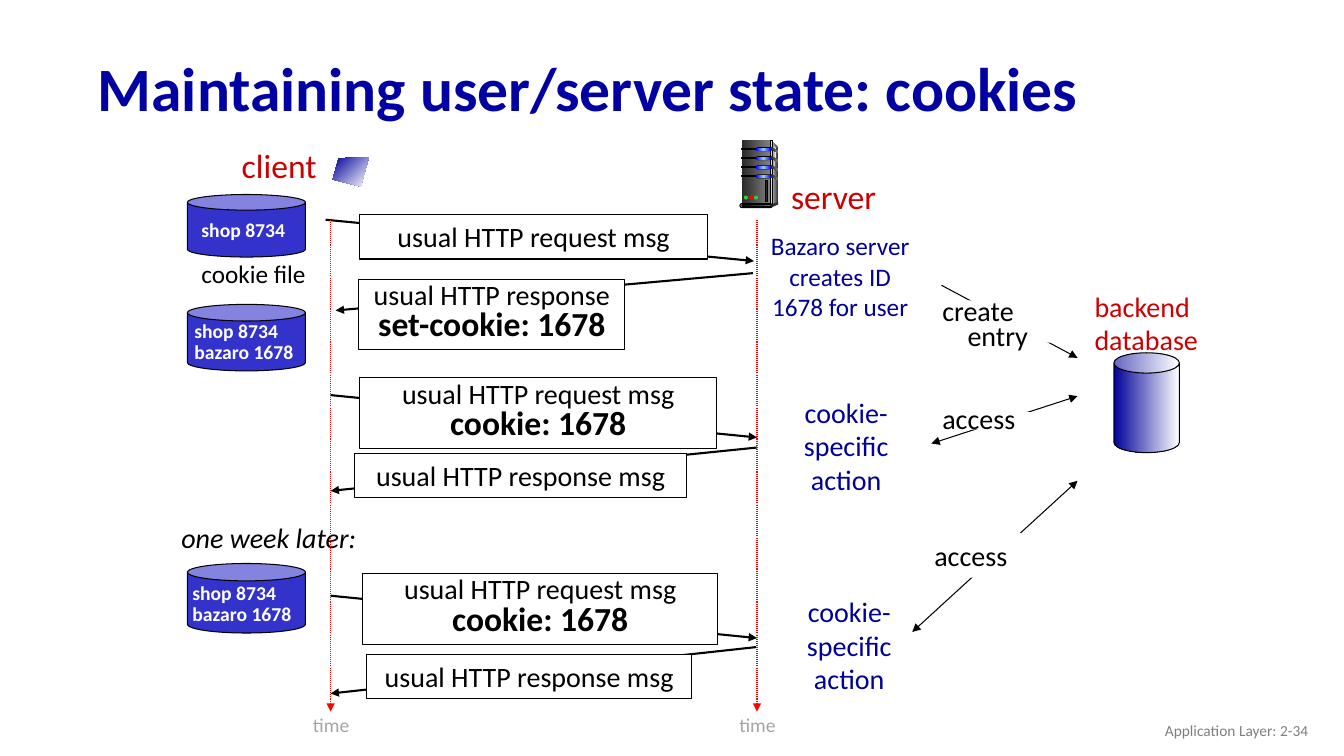
from collections import namedtuple
from copy import deepcopy

from pptx import Presentation
from pptx.dml.color import RGBColor
from pptx.enum.dml import MSO_LINE
from pptx.enum.shapes import MSO_CONNECTOR, MSO_SHAPE as SHAPE
from pptx.enum.text import MSO_ANCHOR as ANCHOR, PP_ALIGN as ALIGN
from pptx.oxml import parse_xml
from pptx.oxml.ns import nsdecls, qn
from pptx.util import Inches, Pt

# All lengths are counted in cells of a grid, ten to the inch
COLS, ROWS = 133.33, 75
FONT = "Calibri"
BLACK, WHITE, RED, NAVY = "000000", "FFFFFF", "CC0000", "000099"
DARK_GREY, MID_GREY, LIGHT_GREY = "292929", "808080", "DDDDDD"

Box = namedtuple("Box", "left top width height")


def grid(cells):
    return Inches(cells / 10)


def rgb(hex_color):
    return RGBColor.from_string(hex_color)


def inside(box, x, y, width, height):
    return Box(box.left + x, box.top + y, width, height)


# ---- Basic parts ----
def paint(shape, fill, line=None, angle=0):
    """Fill with one hex colour, or with a gradient of evenly spaced ones."""
    shape.shadow.inherit = False
    if isinstance(fill, str):
        shape.fill.solid()
        shape.fill.fore_color.rgb = rgb(fill)
    else:
        shape.fill.gradient()
        stop_list = shape._element.spPr.find(".//" + qn("a:gsLst"))
        for _ in fill[2:]:
            stop_list.append(deepcopy(stop_list[0]))
        for i, (stop, color) in enumerate(zip(shape.fill.gradient_stops, fill)):
            stop.position = i / (len(fill) - 1)
            stop.color.rgb = rgb(color)
        shape.fill.gradient_angle = -angle % 360
    if line:
        shape.line.color.rgb = rgb(line)
        shape.line.width = Pt(0.75)
    else:
        shape.line.fill.background()


def draw(slide, kind, box, fill, line=None, adjust=None):
    shape = slide.shapes.add_shape(kind, *map(grid, box))
    if adjust is not None:
        shape.adjustments[0] = adjust
    paint(shape, fill, line)
    return shape


def outline(slide, box, points, fill, angle=0):
    corners = [(grid(box.left + x), grid(box.top + y)) for x, y in points]
    builder = slide.shapes.build_freeform(*corners[0])
    builder.add_line_segments(corners[1:], close=True)
    paint(builder.convert_to_shape(), fill, angle=angle)


def write(shape, lines, size, color=BLACK, align=ALIGN.LEFT, spacing=1.0,
          bold=False, italic=False, last_size=None, last_indent=0):
    frame = shape.text_frame
    frame.word_wrap = True
    frame.vertical_anchor = ANCHOR.TOP
    frame.margin_left = grid(1 if align == ALIGN.LEFT else 0)
    frame.margin_right = grid(1 if align == ALIGN.RIGHT else 0)
    frame.text = "\n".join(lines)
    for paragraph in frame.paragraphs:
        paragraph.alignment = align
        paragraph.line_spacing = spacing
        font = paragraph.font
        font.name, font.size, font.color.rgb = FONT, Pt(size), rgb(color)
        font.bold, font.italic = bold, italic
    last = frame.paragraphs[-1]
    if last_size:
        last.font.size, last.font.bold = Pt(last_size), True
    if last_indent:
        last._p.get_or_add_pPr().set("marL", str(grid(last_indent)))


def label(slide, box, lines, size, **style):
    text = slide.shapes.add_textbox(*map(grid, box))
    write(text, lines, size, **style)
    return text


def arrow(slide, box, start, end, width=0.75, color=BLACK, both=False, dotted=False):
    ends = [grid(base + offset) for point in (start, end)
            for base, offset in zip(box[:2], point)]
    line = slide.shapes.add_connector(MSO_CONNECTOR.STRAIGHT, *ends)
    line.line.color.rgb = rgb(color)
    line.line.width = Pt(width)
    if dotted:
        line.line.dash_style = MSO_LINE.ROUND_DOT
    properties = line._element.spPr
    for tag in ("headEnd", "tailEnd") if both else ("tailEnd",):
        properties.find(qn("a:ln")).append(
            parse_xml(f'<a:{tag} {nsdecls("a")} type="triangle"/>'))
    properties.append(parse_xml(f'<a:effectLst {nsdecls("a")}/>'))


# ---- Regions ----
def heading(slide, box):
    title = slide.shapes.title
    title.left, title.top, title.width, title.height = map(grid, box)
    write(title, ["Maintaining user/server state: cookies"], 44, "0000A3",
          spacing=0.9, bold=True)
    title.text_frame.vertical_anchor = ANCHOR.MIDDLE


def client_side(slide, box):
    label(slide, inside(box, 4.3, 0, 9.6, 5), ["client"], 24, color=RED,
          align=ALIGN.CENTER)
    outline(slide, inside(box, 14.4, 1.7, 3.6, 2.9),
            [(3.6, 0), (0.6, 0.1), (0, 2.2), (2.8, 2.9)], (NAVY, WHITE), angle=45)
    # Cookie files: top, height, text offset and contents
    first, second = "shop 8734", "bazaro 1678"
    files = [(5.4, 6.2, (0.4, 1.8), [first]),
             (16.3, 6.6, (-0.3, 1.2), [first, second]),
             (42, 6.9, (-0.5, 1.5), [first, second])]
    for top, height, (dx, dy), cookies in files:
        cookie_file = inside(box, 0, top, 11.7, height)
        draw(slide, SHAPE.CAN, cookie_file, "3333CC", BLACK, 0.25)
        label(slide, inside(cookie_file, dx, dy, 15, 5), cookies, 14, color=WHITE,
              bold=True, spacing=0.9 if len(cookies) > 1 else 1.0)
    label(slide, inside(box, 0.4, 11.2, 19.5, 4), ["cookie file"], 18)
    label(slide, inside(box, -1.6, 37.2, 19.8, 4.4), ["one week later:"], 20, italic=True)


def messages(slide, box):
    request, response = "usual HTTP request msg", "usual HTTP response msg"
    cookie = "cookie: 1678"
    # Arrow start, arrow end, message box, text
    exchanges = [
        ((-0.5, 0), (42, 4.1), (2.9, -0.5, 34.5, 4.4), [request]),
        ((41.9, 5.3), (0.5, 9), (2.8, 5.9, 26.4, 7),
         ["usual HTTP response", "set-cookie: 1678"]),
        ((0, 17.4), (42.3, 21.6), (2.9, 15.7, 35.4, 7), [request, cookie]),
        ((42.3, 22.6), (0, 26.9), (2.4, 23.2, 32.9, 4.4), [response]),
        ((0, 37.3), (42.3, 41.5), (3.2, 35.1, 35.2, 7), [request, cookie]),
        ((42.2, 42.4), (0, 47), (3.6, 43.1, 32.2, 4.4), [response]),
    ]
    for start, end, place, lines in exchanges:
        arrow(slide, box, start, end, width=1.5)
        message = draw(slide, SHAPE.RECTANGLE, inside(box, *place), WHITE, BLACK)
        two_lines = len(lines) == 2
        write(message, lines, 20, align=ALIGN.CENTER,
              spacing=0.8 if two_lines else 1.0, last_size=24 if two_lines else None)
    # Time axes of client and server
    for x in (0, box.width):
        arrow(slide, box, (x, 0), (x, box.height), color="FF0000", dotted=True)
        label(slide, inside(box, x - 2.8, box.height, 5.7, 3), ["time"], 14,
              color="A5A5A5", align=ALIGN.CENTER, spacing=0.85)


def server_side(slide, box):
    label(slide, inside(box, 2.7, 0, 10.6, 5), ["server"], 24, color=RED,
          align=ALIGN.CENTER)
    label(slide, inside(box, 0, 5.4, 17.3, 10.1),
          ["Bazaro server", "creates ID", "1678 for user"], 18,
          color=NAVY, align=ALIGN.CENTER)
    for x, y in ((2.9, 21.7), (3.2, 41.5)):
        label(slide, inside(box, x, y, 12.7, 11.1), ["cookie-", "specific", "action"], 20,
              color=NAVY, align=ALIGN.CENTER)


def database_side(slide, box):
    # Arrow start, arrow end, both heads, white gap, text box, text
    accesses = [
        ((1, 0), (14.5, 7.2), False, (1.9, 1.5, 12.3, 4.2), (0.1, 1.1, 15, 6.2),
         ["create", "entry"]),
        ((0, 15.7), (14.5, 11), True, (3.3, 12.6, 8.1, 1.7), (0.1, 11, 11.3, 4.4), ["access"]),
        ((-1.9, 34.4), (14.5, 19.4), True, (0.3, 24.6, 11.2, 4.4), (-0.7, 24.6, 11.2, 4.4),
         ["access"]),
    ]
    for start, end, both, gap, place, lines in accesses:
        arrow(slide, box, start, end, both=both)
        draw(slide, SHAPE.RECTANGLE, inside(box, *gap), WHITE)
        two_lines = len(lines) == 2
        label(slide, inside(box, *place), lines, 20, spacing=0.75 if two_lines else 1.0,
              last_indent=2.5 if two_lines else 0)
    label(slide, inside(box, 15.2, -0.1, 12.5, 7.7), ["backend", "database"], 20, color=RED)
    draw(slide, SHAPE.CAN, inside(box, 18.1, 6.7, 6.5, 9.9), (NAVY, WHITE), BLACK, 0.31)


def server_tower(slide, box):
    def part(kind, place, fill, line=None, adjust=None):
        draw(slide, kind, inside(box, *place), fill, line, adjust)

    # Side and front
    outline(slide, box, [(3.1, 0), (3.8, 0.8), (3.8, 6.1), (3, 6.4)], (LIGHT_GREY, "333333"))
    part(SHAPE.RECTANGLE, (0.2, 0, 2.8, 6.4), (DARK_GREY, MID_GREY))
    outline(slide, box, [(3.2, 0.4), (3.6, 0.9), (3.3, 3.6), (3.2, 6.2)],
            (MID_GREY, "F8F8F8"))
    part(SHAPE.RECTANGLE, (3, 0, 0.2, 6.4), ("333333", LIGHT_GREY, "333333"), BLACK)
    # Four drives, each with a slot, a light and a notch in the side
    for y in (0.7 + 0.9 * drive for drive in range(4)):
        part(SHAPE.RECTANGLE, (0.2, y + 0.1, 1.6, 0.1), BLACK, BLACK)
        part(SHAPE.ROUNDED_RECTANGLE, (1.6, y, 1.6, 0.4), BLACK, adjust=0.5)
        part(SHAPE.ROUNDED_RECTANGLE, (1.6, y + 0.05, 1.5, 0.3),
             ("0000FF", "99CCFF", "0000FF"), adjust=0.5)
        outline(slide, box, [(3.1, y), (3.8, y + 0.4), (3.8, y + 0.6), (3.1, y + 0.2)],
                (DARK_GREY, MID_GREY))
    # Base, lamps and handle
    outline(slide, box, [(3.1, 6.4), (3.1, 6.7), (3.8, 6.4), (3.8, 6.1)], "333333")
    part(SHAPE.ROUNDED_RECTANGLE, (0, 6.3, 3.2, 0.4), LIGHT_GREY, BLACK, 0.5)
    part(SHAPE.ROUNDED_RECTANGLE, (0.2, 6.4, 2.9, 0.2), (BLACK, MID_GREY), BLACK, 0.5)
    for lamp, color in enumerate(("33CC33", "FF0000", "33CC33")):
        part(SHAPE.OVAL, (0.4 + 0.5 * lamp, 5.5, 0.4, 0.4), color)
    part(SHAPE.RECTANGLE, (2.5, 4, 0.2, 2.1), DARK_GREY, BLACK)


def footer(slide, box):
    note = label(slide, box, ["Application Layer: 2-34"], 11, color="7F7F7F",
                 align=ALIGN.RIGHT)
    note.text_frame.vertical_anchor = ANCHOR.MIDDLE


def main():
    deck = Presentation()
    deck.slide_width, deck.slide_height = grid(COLS), grid(ROWS)
    slide = deck.slides.add_slide(deck.slide_layouts[5])
    heading(slide, Box(8.7, 4.2, 115, 9.8))
    client_side(slide, Box(18.6, 13.9, 19.5, 49))
    messages(slide, Box(32.8, 21.8, 42.3, 48.8))
    server_side(slide, Box(74.7, 17, 17.3, 52.6))
    database_side(slide, Box(92.4, 28.3, 27.7, 34.4))
    server_tower(slide, Box(73.4, 13.9, 3.8, 6.7))
    footer(slide, Box(100.8, 70.5, 30, 4))
    deck.save("out.pptx")


if __name__ == "__main__":
    main()
